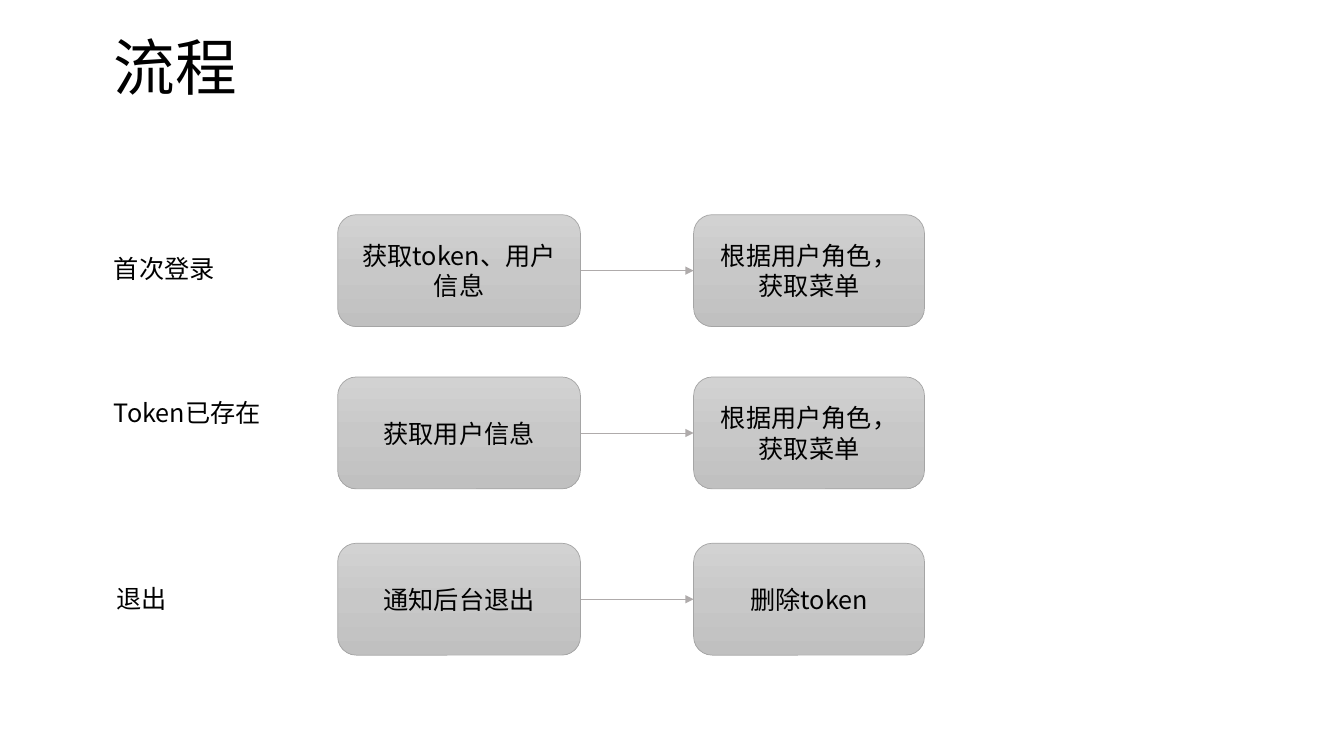
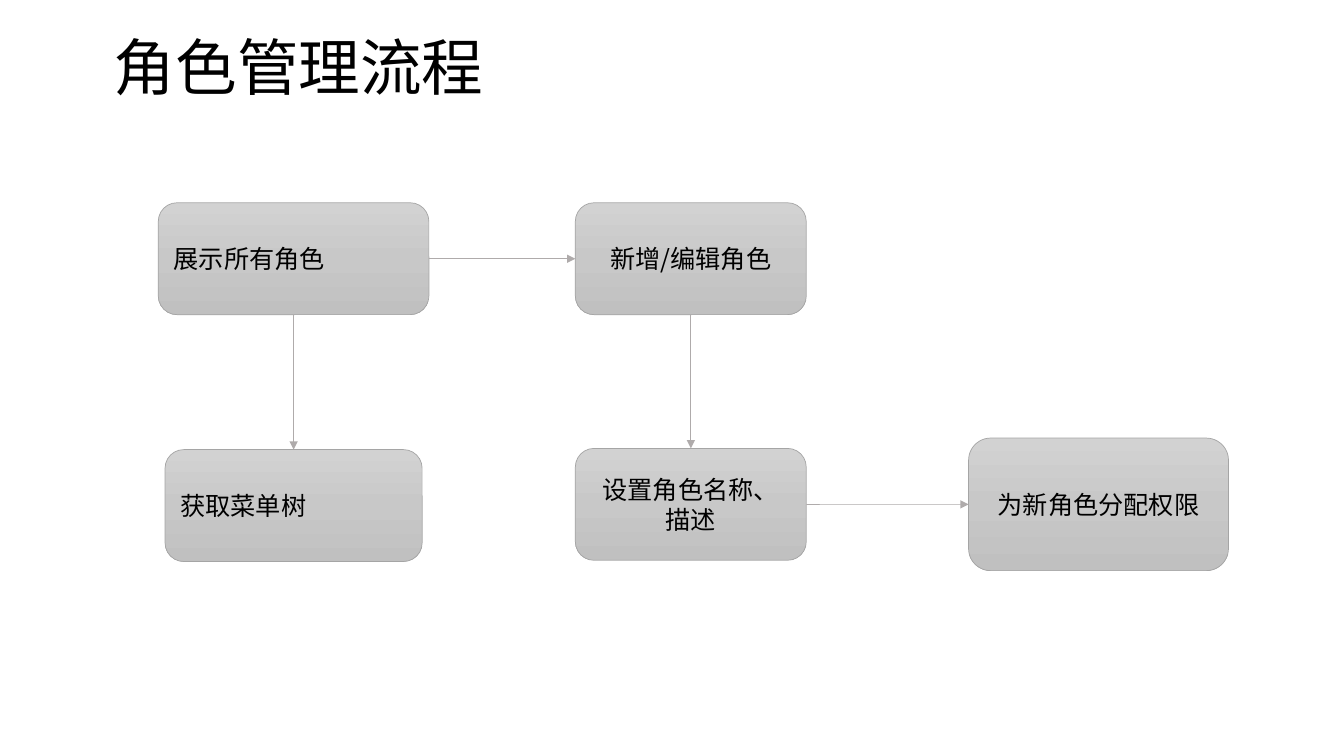
from copy import deepcopy

from lxml.etree import SubElement
from pptx import Presentation
from pptx.dml.color import RGBColor
from pptx.enum.shapes import MSO_CONNECTOR, MSO_SHAPE
from pptx.enum.text import MSO_ANCHOR, PP_ALIGN
from pptx.oxml.ns import qn
from pptx.util import Cm, Pt

COLORS = {
    "text": "000000",
    "box_top": "D2D2D2",
    "box_middle": "C8C8C8",
    "box_bottom": "C0C0C0",
    "border": "A5A5A5",
    "arrow": "AFABAB",
}
FONT = "Noto Sans CJK SC"
BODY_SIZE, TITLE_SIZE = 18, 44
BOX_HEIGHT = 2.82
STEP_WIDTH = 5.82
TOP, LEFT, BOTTOM, RIGHT = range(4)  # connection sites of a rounded box


def color(name):
    return RGBColor.from_string(COLORS[name])


def write(frame, text, size=BODY_SIZE, align=PP_ALIGN.LEFT, anchor=MSO_ANCHOR.MIDDLE):
    frame.word_wrap = True
    frame.vertical_anchor = anchor
    paragraph = frame.paragraphs[0]
    paragraph.alignment = align
    run = paragraph.add_run()
    run.text = text
    run.font.size = Pt(size)
    run.font.name = FONT
    run.font.color.rgb = color("text")
    SubElement(run.font._element, qn("a:ea"), typeface=FONT)
    return paragraph


def add_text(slide, text, left, top, width, height, **style):
    area = slide.shapes.add_textbox(Cm(left), Cm(top), Cm(width), Cm(height))
    return write(area.text_frame, text, **style)


def add_titled_slide(deck, title):
    slide = deck.slides.add_slide(deck.slide_layouts[6])
    add_text(slide, title, 2.62, 0.76, 29.21, 2.06, size=TITLE_SIZE).line_spacing = 0.9
    return slide


def fill_gradient(box):
    box.fill.gradient()
    box.fill.gradient_angle = 270
    first = box._element.spPr.find(".//" + qn("a:gs"))
    first.addnext(deepcopy(first))
    names = ("box_top", "box_middle", "box_bottom")
    for index, (stop, name) in enumerate(zip(box.fill.gradient_stops, names)):
        stop.position = index / 2
        stop.color.rgb = color(name)


def add_step(slide, text, left, top, width=STEP_WIDTH, height=BOX_HEIGHT,
             align=PP_ALIGN.CENTER):
    step = slide.shapes.add_shape(
        MSO_SHAPE.ROUNDED_RECTANGLE, Cm(left), Cm(top), Cm(width), Cm(height))
    step.shadow.inherit = False
    fill_gradient(step)
    step.line.color.rgb = color("border")
    step.line.width = Pt(0.5)
    write(step.text_frame, text, align=align)
    return step


def add_arrow(slide, source, target, start=RIGHT, end=LEFT):
    arrow = slide.shapes.add_connector(MSO_CONNECTOR.STRAIGHT, 0, 0, 0, 0)
    arrow.begin_connect(source, start)
    arrow.end_connect(target, end)
    arrow.line.color.rgb = color("arrow")
    arrow.line.width = Pt(0.5)
    SubElement(arrow.line._get_or_add_ln(), qn("a:tailEnd"), type="triangle")
    SubElement(arrow._element.spPr, qn("a:effectLst"))


def build_login_flow(deck):
    slide = add_titled_slide(deck, "流程")
    flows = [
        # label, label left, label top, row top, first step, second step
        ("首次登录", 2.62, 6.25, 5.41, "获取token、用户信息", "根据用户角色，获取菜单"),
        ("Token已存在", 2.62, 9.88, 9.5, "获取用户信息", "根据用户角色，获取菜单"),
        ("退出", 2.69, 14.58, 13.69, "通知后台退出", "删除token"),
    ]
    for label, label_left, label_top, row_top, first_text, second_text in flows:
        add_text(slide, label, label_left, label_top, 4.57, 1.02, anchor=MSO_ANCHOR.TOP)
        first = add_step(slide, first_text, 8.51, row_top, width=6.12)
        second = add_step(slide, second_text, 17.48, row_top)
        add_arrow(slide, first, second)


def build_role_flow(deck):
    slide = add_titled_slide(deck, "角色管理流程")
    roles = add_step(slide, "展示所有角色", 3.99, 5.11, width=6.82, align=PP_ALIGN.LEFT)
    edit = add_step(slide, "新增/编辑角色", 14.5, 5.11)
    describe = add_step(slide, "设置角色名称、描述", 14.5, 11.3)
    menu_tree = add_step(slide, "获取菜单树", 4.16, 11.33, width=6.48, align=PP_ALIGN.LEFT)
    permissions = add_step(slide, "为新角色分配权限", 24.41, 11.04, width=6.55, height=3.34)

    add_arrow(slide, roles, edit)
    add_arrow(slide, edit, describe, BOTTOM, TOP)
    add_arrow(slide, roles, menu_tree, BOTTOM, TOP)
    add_arrow(slide, describe, permissions)


def main():
    deck = Presentation()
    deck.slide_width, deck.slide_height = Cm(33.87), Cm(19.05)
    build_login_flow(deck)
    build_role_flow(deck)
    deck.save("out.pptx")


if __name__ == "__main__":
    main()
